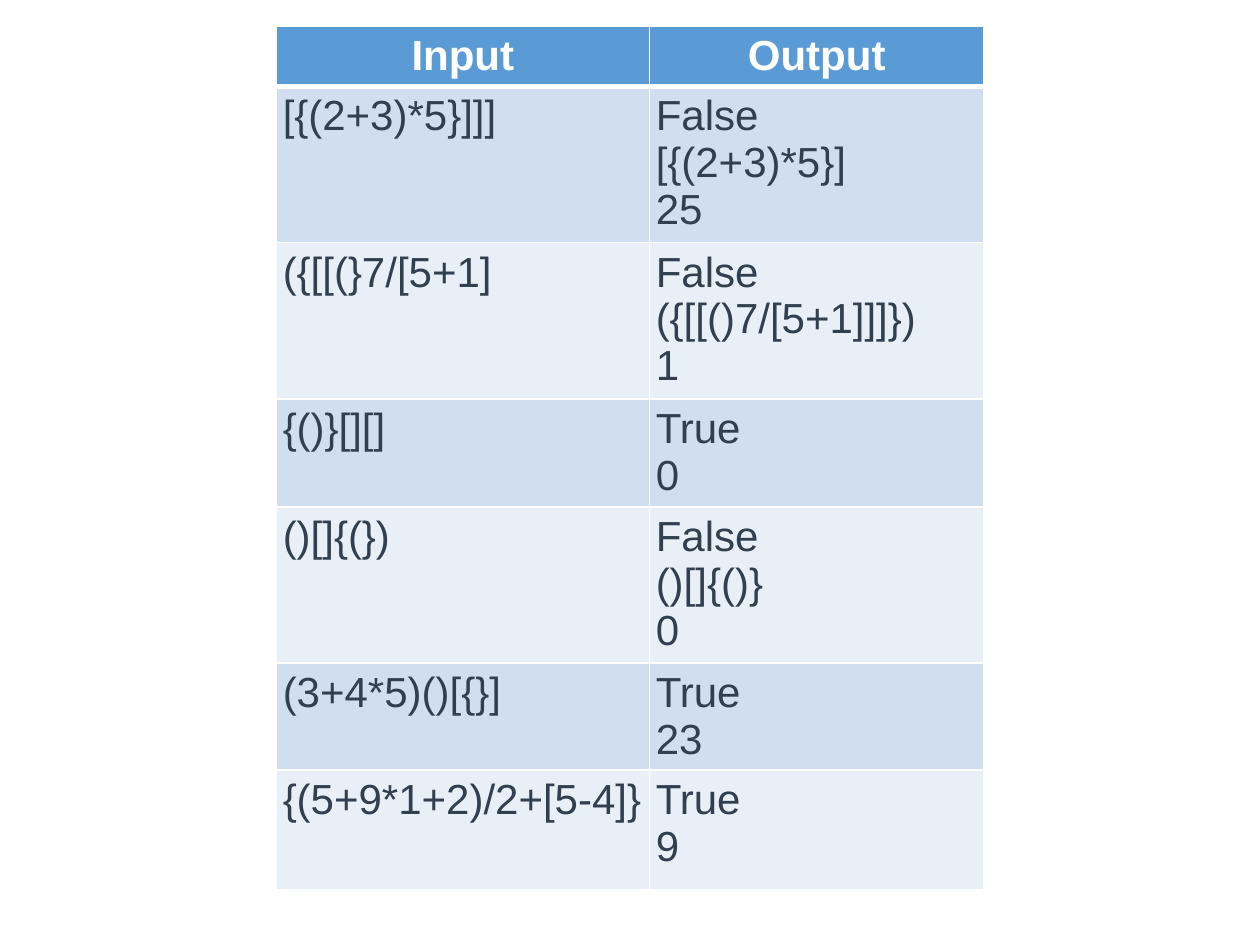
from lxml.etree import SubElement
from pptx import Presentation
from pptx.dml.color import RGBColor
from pptx.enum.text import PP_ALIGN
from pptx.oxml.ns import qn
from pptx.util import Cm, Pt

WHITE = RGBColor(0xFF, 0xFF, 0xFF)
HEADER_BLUE = RGBColor(0x5B, 0x9B, 0xD5)
DARK_BAND = RGBColor(0xD0, 0xDE, 0xEF)
LIGHT_BAND = RGBColor(0xE9, 0xEF, 0xF7)
TEXT_COLOR = RGBColor(0x32, 0x3F, 0x4F)

# Each cell is a list of paragraphs; "\n" is a line break inside one
HEADINGS = (["Input"], ["Output"])
EXAMPLES = [
    (["[{(2+3)*5}]]]"], ["False", "[{(2+3)*5}]", "25"]),
    (["({[[(}7/[5+1]"], ["False\n({[[()7/[5+1]]]})\n1"]),
    (["{()}[][]"], ["True\n0"]),
    (["()[]{(})"], ["False\n()[]{()}\n0"]),
    (["(3+4*5)()[{}]"], ["True\n23"]),
    (["{(5+9*1+2)/2+[5-4]}"], ["True\n9"]),
]
COLUMN_WIDTHS = (7.52, 6.75)
ROW_HEIGHTS = (1.22, 3.15, 3.15, 2.18, 3.15, 2.08, 2.41)


class SlideBuilder:
    font_name = "Arial"
    font_size = Pt(24)
    cell_margin = Cm(0.13)

    def __init__(self, slide):
        self.slide = slide

    def add_table(self, left, top, widths, heights):
        frame = self.slide.shapes.add_table(
            len(heights), len(widths), Cm(left), Cm(top),
            Cm(sum(widths)), Cm(sum(heights)))
        table = frame.table
        for column, width in zip(table.columns, widths):
            column.width = Cm(width)
        for row, height in zip(table.rows, heights):
            row.height = Cm(height)
        return table

    def fill_row(self, row, contents, fill, color, header=False, top=1, bottom=1):
        for cell, paragraphs in zip(row.cells, contents):
            cell.margin_left = cell.margin_right = self.cell_margin
            cell.margin_top = cell.margin_bottom = self.cell_margin
            self.add_borders(cell, top, bottom)
            cell.fill.solid()
            cell.fill.fore_color.rgb = fill
            for index, text in enumerate(paragraphs):
                text_frame = cell.text_frame
                paragraph = text_frame.add_paragraph() if index else text_frame.paragraphs[0]
                paragraph.alignment = PP_ALIGN.CENTER if header else PP_ALIGN.LEFT
                self.add_lines(paragraph, text, color, header)

    def add_lines(self, paragraph, text, color, bold):
        for index, line in enumerate(text.split("\n")):
            if index:
                paragraph.add_line_break()
            run = paragraph.add_run()
            run.text = line
            run.font.name = self.font_name
            run.font.size = self.font_size
            run.font.bold = bold
            run.font.color.rgb = color

    def add_borders(self, cell, top, bottom):
        properties = cell._tc.get_or_add_tcPr()
        for side, points in (("L", 1), ("R", 1), ("T", top), ("B", bottom)):
            line = SubElement(properties, qn(f"a:ln{side}"), w=str(Pt(points)))
            solid_fill = SubElement(line, qn("a:solidFill"))
            SubElement(solid_fill, qn("a:srgbClr"), val=str(WHITE))


def main():
    presentation = Presentation()
    presentation.slide_width = Cm(25.4)
    presentation.slide_height = Cm(19.05)
    builder = SlideBuilder(presentation.slides.add_slide(presentation.slide_layouts[6]))

    # Table of inputs and expected outputs
    table = builder.add_table(5.57, 0.52, COLUMN_WIDTHS, ROW_HEIGHTS)
    header_row, *example_rows = table.rows

    # Header with a thick rule below
    builder.fill_row(header_row, HEADINGS, HEADER_BLUE, WHITE, header=True, bottom=3)

    # Banded example rows
    for index, (row, contents) in enumerate(zip(example_rows, EXAMPLES)):
        fill = LIGHT_BAND if index % 2 else DARK_BAND
        builder.fill_row(row, contents, fill, TEXT_COLOR, top=1 if index else 3)

    presentation.save("out.pptx")


if __name__ == "__main__":
    main()
